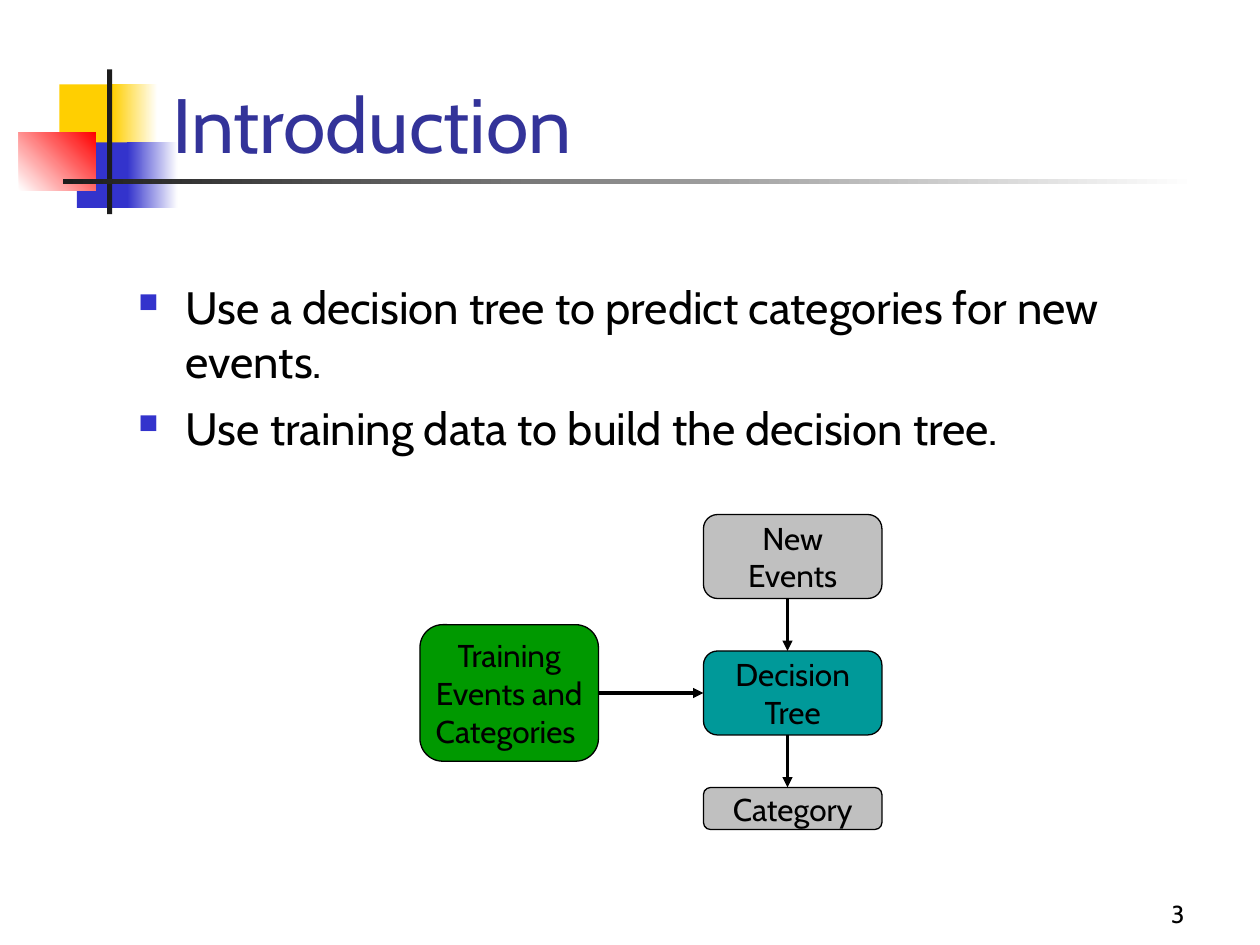
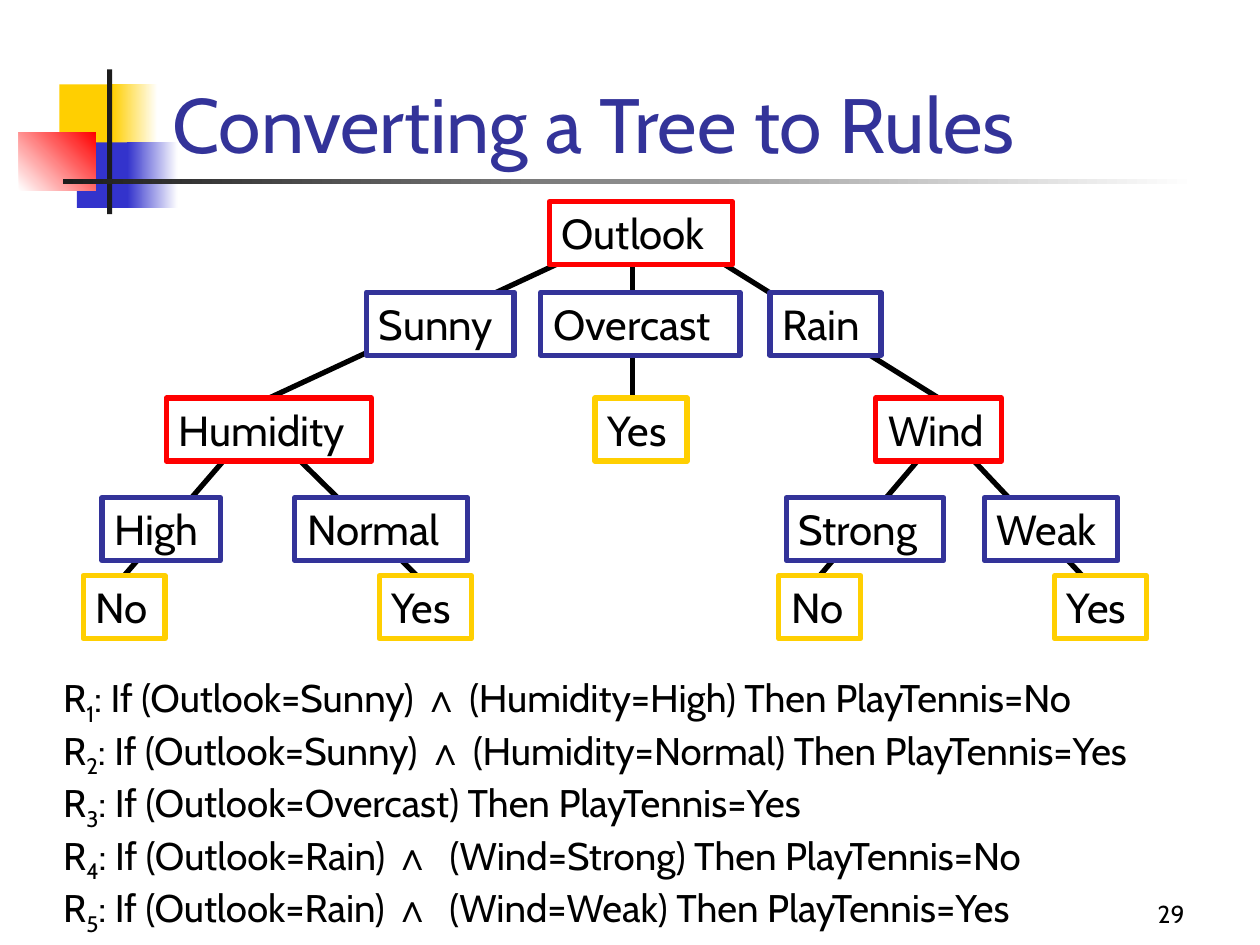
from typing import NamedTuple

from lxml import etree
from pptx import Presentation
from pptx.dml.color import RGBColor
from pptx.enum.shapes import MSO_CONNECTOR, MSO_SHAPE
from pptx.enum.text import MSO_ANCHOR, PP_ALIGN
from pptx.oxml.ns import qn
from pptx.util import Pt

RECTANGLE = MSO_SHAPE.RECTANGLE
ROUNDED = MSO_SHAPE.ROUNDED_RECTANGLE
STRAIGHT = MSO_CONNECTOR.STRAIGHT
LEFT, CENTER, RIGHT = PP_ALIGN.LEFT, PP_ALIGN.CENTER, PP_ALIGN.RIGHT
TOP, MIDDLE, BOTTOM = MSO_ANCHOR.TOP, MSO_ANCHOR.MIDDLE, MSO_ANCHOR.BOTTOM
SITE_TOP, SITE_LEFT, SITE_RIGHT = 0, 1, 3

COLORS = {
    "white": "FFFFFF", "black": "000000", "ink": "1C1C1C", "title": "333399",
    "yellow": "FFCF01", "blue": "3333CC", "red": "FF0000",
    "gray": "C0C0C0", "teal": "009999", "green": "009900",
}
FONT = "Cabin"
SYMBOL_FONT = "Arial"


class Box(NamedTuple):
    left: float
    top: float
    width: float
    height: float


class Run(NamedTuple):
    text: str
    font: str = FONT
    subscript: bool = False
    spacing: float = 0


class Band(NamedTuple):
    box: Box
    color: str
    end_color: str = ""
    angle: float = 0


class FlowStep(NamedTuple):
    lines: list[str]
    box: Box
    fill: str


class Node(NamedTuple):
    text: str
    left: float
    width: float
    top: float
    line: str


class Edge(NamedTuple):
    start: tuple[float, float]
    end: tuple[float, float]
    joined_node: int | None = None


# Shared decoration
BANDS = [
    Band(Box(34, 48.2, 34.5, 37.5), "yellow"),
    Band(Box(64, 48.2, 26, 37.5), "yellow", "white"),
    Band(Box(44, 81.4, 33, 37.4), "blue"),
    Band(Box(72.7, 81.4, 28.8, 37.4), "blue", "white"),
    Band(Box(10.8, 75.6, 44, 33.1), "white", "red", 45),
    Band(Box(61.2, 39.6, 2.9, 82.8), "ink"),
    Band(Box(36, 102.2, 648, 2.9), "ink", "white"),
]

# Flow chart
FLOW_STEPS = [
    FlowStep(["New", "Events"], Box(402, 294, 102, 48), "gray"),
    FlowStep(["Decision", "Tree"], Box(402, 372, 102, 48), "teal"),
    FlowStep(["Category"], Box(402, 450, 102, 24), "gray"),
    FlowStep(["Training", "Events and", "Categories "], Box(240, 357, 102, 78), "green"),
]
FLOW_ARROW_X = 450

# Decision tree: the line colour tells attributes, values and answers apart
ATTRIBUTE, VALUE, ANSWER = "red", "title", "yellow"
ROOT_TOP, BRANCH_TOP, SECOND_TOP, LEAF_TOP, ANSWER_TOP = 115.2, 167, 227.5, 284.4, 329
NODE_HEIGHT = 36
NO_WIDTH, YES_WIDTH = 46.8, 52.6
NODES = [
    Node("Outlook", 314, 104.4, ROOT_TOP, ATTRIBUTE),
    Node("Sunny", 209.5, 84.3, BRANCH_TOP, VALUE),
    Node("Overcast", 309, 113.8, BRANCH_TOP, VALUE),
    Node("Rain", 440, 63.4, BRANCH_TOP, VALUE),
    Node("Humidity", 95, 117.4, SECOND_TOP, ATTRIBUTE),
    Node("Yes", 340, YES_WIDTH, SECOND_TOP, ANSWER),
    Node("Wind", 500.4, 72, SECOND_TOP, ATTRIBUTE),
    Node("High", 58.3, 67.7, LEAF_TOP, VALUE),
    Node("Normal", 168.5, 98.6, LEAF_TOP, VALUE),
    Node("Strong", 449.3, 90, LEAF_TOP, VALUE),
    Node("Weak", 562.5, 76.3, LEAF_TOP, VALUE),
    Node("No", 47.5, NO_WIDTH, ANSWER_TOP, ANSWER),
    Node("Yes", 216.7, YES_WIDTH, ANSWER_TOP, ANSWER),
    Node("No", 445, NO_WIDTH, ANSWER_TOP, ANSWER),
    Node("Yes", 602.6, YES_WIDTH, ANSWER_TOP, ANSWER),
]
EDGES = [
    Edge((344, 139), (154, SECOND_TOP), 4),
    Edge((394.6, 139), (534, SECOND_TOP), 6),
    Edge((361.5, 143), (361.5, SECOND_TOP)),
    Edge((137.5, 252), (70.6, ANSWER_TOP), 11),
    Edge((160, 252), (238.3, ANSWER_TOP)),
    Edge((534, 252), (467.3, ANSWER_TOP), 13),
    Edge((545.8, 252), (618.5, ANSWER_TOP)),
]

# Each rule: conditions, answer, extra space after the "and" sign
RULES = [
    (["Outlook=Sunny", "Humidity=High"], "No", 0),
    (["Outlook=Sunny", "Humidity=Normal"], "Yes", 0),
    (["Outlook=Overcast"], "Yes", 0),
    (["Outlook=Rain", "Wind=Strong"], "No", 5),
    (["Outlook=Rain", "Wind=Weak"], "Yes", 5),
]


def rgb(name: str) -> RGBColor:
    return RGBColor.from_string(COLORS[name])


def lengths(box: Box) -> list[Pt]:
    return [Pt(value) for value in box]


def write_text(shape, paragraphs: list[list[Run]], *, size: float, color: str = "black",
               align=LEFT, anchor=TOP, inset: tuple[float, float] = (7.2, 3.6),
               space_before: float = 0) -> None:
    """Fill a shape with paragraphs made of runs."""
    frame = shape.text_frame
    frame.word_wrap = True
    frame.vertical_anchor = anchor
    frame.margin_left = frame.margin_right = Pt(inset[0])
    frame.margin_top = frame.margin_bottom = Pt(inset[1])
    for index, runs in enumerate(paragraphs):
        paragraph = frame.add_paragraph() if index else frame.paragraphs[0]
        paragraph.alignment = align
        paragraph.space_before = Pt(space_before)
        for part in runs:
            run = paragraph.add_run()
            run.text = part.text
            run.font.name = part.font
            run.font.size = Pt(size)
            run.font.color.rgb = rgb(color)
            properties = run._r.get_or_add_rPr()
            if part.subscript:
                properties.set("baseline", "-25000")
            if part.spacing:
                properties.set("spc", str(round(part.spacing * 100)))


def add_text_box(slide, box: Box, paragraphs: list[list[Run]], **text_format):
    shape = slide.shapes.add_textbox(*lengths(box))
    write_text(shape, paragraphs, **text_format)
    return shape


def add_block(slide, box: Box, fill: str, *, kind=RECTANGLE, line: str = "",
              line_width: float = 0):
    shape = slide.shapes.add_shape(kind, *lengths(box))
    shape.shadow.inherit = False
    shape.fill.solid()
    shape.fill.fore_color.rgb = rgb(fill)
    if line:
        shape.line.color.rgb = rgb(line)
        shape.line.width = Pt(line_width)
    else:
        shape.line.fill.background()
    return shape


def add_line(slide, start: tuple[float, float], end: tuple[float, float],
             width: float, arrow: bool = False):
    points = [Pt(value) for value in (*start, *end)]
    connector = slide.shapes.add_connector(STRAIGHT, *points)
    connector.line.color.rgb = rgb("black")
    connector.line.width = Pt(width)
    if arrow:
        line = connector.line._get_or_add_ln()
        etree.SubElement(line, qn("a:tailEnd"), type="triangle")
    etree.SubElement(connector.element.spPr, qn("a:effectLst"))
    return connector


def add_bullets(shape, indent: float) -> None:
    """Give every paragraph a small blue square with a hanging indent."""
    for paragraph in shape.text_frame.paragraphs:
        properties = paragraph._p.get_or_add_pPr()
        properties.set("marL", str(Pt(indent)))
        properties.set("indent", str(-Pt(indent)))
        color = etree.SubElement(properties, qn("a:buClr"))
        etree.SubElement(color, qn("a:srgbClr"), val=COLORS["blue"])
        etree.SubElement(properties, qn("a:buSzPct"), val="60000")
        etree.SubElement(properties, qn("a:buChar"), char="■")


def add_base_slide(presentation, title: str, number: int):
    """Add a slide with the decoration, the slide number and the title."""
    slide = presentation.slides.add_slide(presentation.slide_layouts[6])
    for band in BANDS:
        shape = add_block(slide, band.box, band.color)
        if band.end_color:
            shape.fill.gradient()
            shape.fill.gradient_angle = band.angle
            for stop, color in zip(shape.fill.gradient_stops, (band.color, band.end_color)):
                stop.color.rgb = rgb(color)
    add_text_box(slide, Box(534, 498, 150, 36), [[Run(str(number))]],
                 size=14, align=RIGHT, anchor=BOTTOM)
    add_text_box(slide, Box(91.5, 10, 613.5, 90), [[Run(title)]],
                 size=44, color="title", anchor=BOTTOM)
    return slide


def build_introduction(presentation) -> None:
    slide = add_base_slide(presentation, "Introduction", 3)
    body = add_text_box(slide, Box(72, 156, 579, 117.5), [
        [Run("Use a decision tree to predict categories for new events.")],
        [Run("Use training data to build the decision tree.")],
    ], size=25.9, space_before=7)
    add_bullets(body, 27)

    # Flow chart boxes
    boxes = []
    for step in FLOW_STEPS:
        shape = add_block(slide, step.box, step.fill, kind=ROUNDED,
                          line="black", line_width=0.75)
        write_text(shape, [[Run(line)] for line in step.lines], size=18,
                   align=CENTER, anchor=MIDDLE, inset=(0, 0))
        boxes.append(shape)

    # Flow chart arrows
    _, tree, _, training = boxes
    arrow = add_line(slide, (342, 396), (402, 396), 1.75, arrow=True)
    arrow.begin_connect(training, SITE_RIGHT)
    arrow.end_connect(tree, SITE_LEFT)
    for upper, lower in zip(FLOW_STEPS[:2], FLOW_STEPS[1:3]):
        add_line(slide, (FLOW_ARROW_X, upper.box.top + upper.box.height),
                 (FLOW_ARROW_X, lower.box.top), 1.75, arrow=True)


def rule_runs(number: int, conditions: list[str], answer: str, gap: float) -> list[Run]:
    first, *others = [f"({condition})" for condition in conditions]
    runs = [Run("R"), Run(str(number), subscript=True)]
    result = f" Then PlayTennis={answer}"
    if not others:
        return runs + [Run(f": If {first}{result}")]
    return runs + [Run(f": If {first} "), Run("∧", SYMBOL_FONT, spacing=gap),
                   Run(f" {others[0]}{result}")]


def build_rules(presentation) -> None:
    slide = add_base_slide(presentation, "Converting a Tree to Rules", 29)

    # Tree nodes
    boxes = []
    for node in NODES:
        box = Box(node.left, node.top, node.width, NODE_HEIGHT)
        shape = add_block(slide, box, "white", line=node.line, line_width=3)
        write_text(shape, [[Run(node.text)]], size=24)
        boxes.append(shape)

    # Tree edges, placed behind the nodes
    for edge in EDGES:
        connector = add_line(slide, edge.start, edge.end, 3)
        if edge.joined_node is not None:
            connector.end_connect(boxes[edge.joined_node], SITE_TOP)
        boxes[0].element.addprevious(connector.element)

    # Rules
    paragraphs = [rule_runs(number, *rule) for number, rule in enumerate(RULES, 1)]
    add_text_box(slide, Box(29, 381.6, 673, 183.6), paragraphs, size=22)


def main() -> None:
    presentation = Presentation()
    presentation.slide_width, presentation.slide_height = Pt(720), Pt(540)
    build_introduction(presentation)
    build_rules(presentation)
    presentation.save("out.pptx")


if __name__ == "__main__":
    main()
